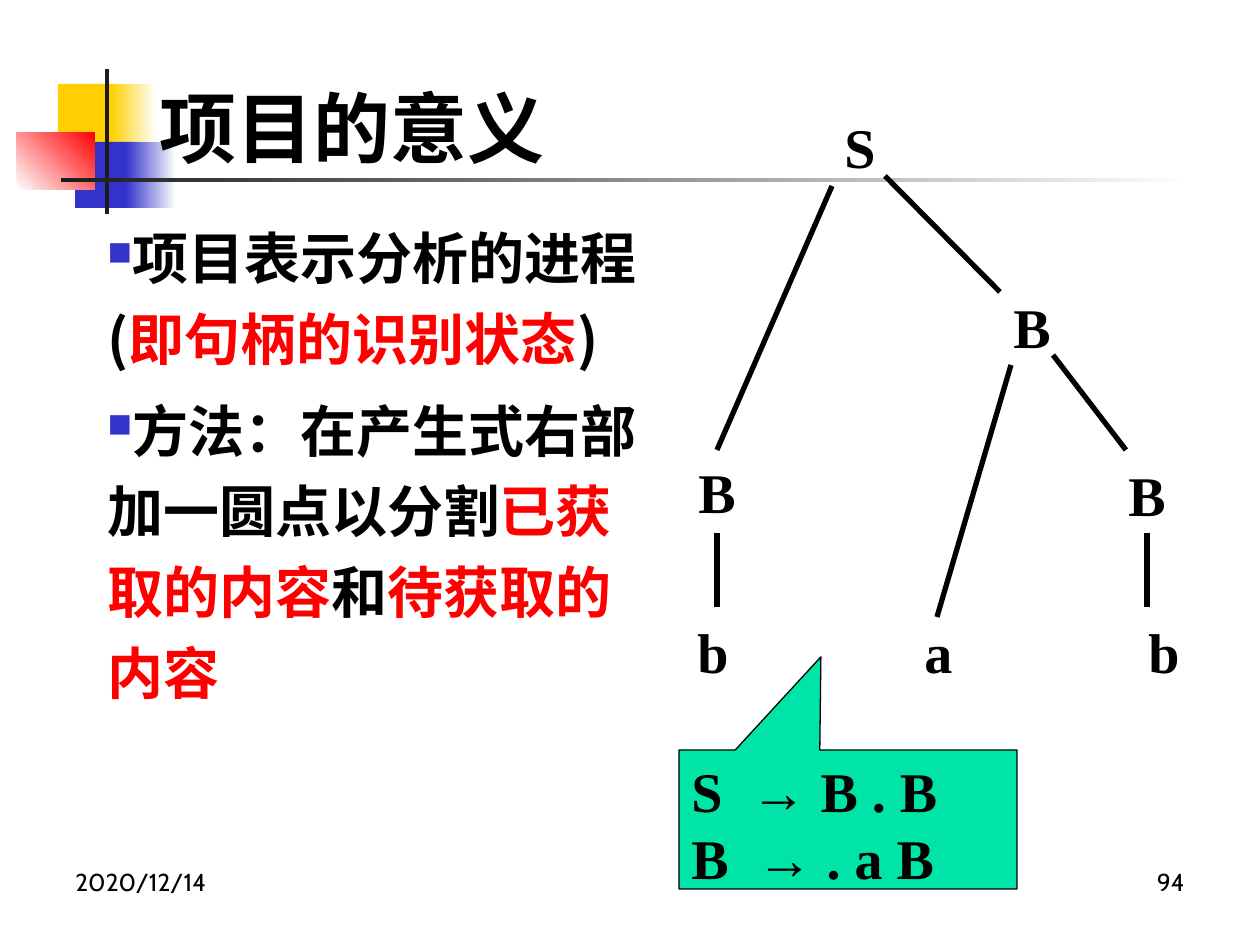
from collections import namedtuple
from dataclasses import dataclass

from lxml import etree
from pptx import Presentation
from pptx.dml.color import RGBColor
from pptx.enum.shapes import MSO_CONNECTOR, MSO_SHAPE
from pptx.enum.text import MSO_ANCHOR, PP_ALIGN
from pptx.oxml.ns import qn
from pptx.util import Pt

RECTANGLE = MSO_SHAPE.RECTANGLE
CALLOUT = MSO_SHAPE.RECTANGULAR_CALLOUT
STRAIGHT = MSO_CONNECTOR.STRAIGHT
TOP, MIDDLE = MSO_ANCHOR.TOP, MSO_ANCHOR.MIDDLE
LEFT, RIGHT = PP_ALIGN.LEFT, PP_ALIGN.RIGHT
EMU_PER_PX = 914400 / 126

Box = namedtuple("Box", "left top width height")


@dataclass(frozen=True)
class Theme:
    """Colours, fonts and type sizes of the slide."""
    black: str = "000000"
    white: str = "FFFFFF"
    charcoal: str = "1C1C1C"
    yellow: str = "FFCF01"
    blue: str = "3333CC"
    red: str = "FF0000"
    green: str = "00E4A8"
    serif: str = "Times New Roman"
    chinese: str = "Noto Sans CJK SC"
    footer: str = "Cabin"
    title_size: int = 44
    body_size: int = 32
    footer_size: int = 14


THEME = Theme()


def px(length):
    """Turn pixels into EMU."""
    return round(length * EMU_PER_PX)


def within(box, left, top, width, height):
    """Place a part relative to its region."""
    return Box(box.left + left, box.top + top, width, height)


def style_run(run, font, size, color=THEME.black, bold=True):
    """Format one run for Latin and Chinese text."""
    run.font.name = font
    run.font.size = Pt(size)
    run.font.bold = bold
    run.font.color.rgb = RGBColor.from_string(color)
    latin = run.font._element.find(qn("a:latin"))
    east_asian = etree.Element(qn("a:ea"), typeface=THEME.chinese)
    latin.addnext(east_asian)


def add_block(slide, box, fill, fade_to=None, angle=0):
    """Draw a borderless rectangle, plain or fading to a second colour."""
    shape = slide.shapes.add_shape(RECTANGLE, *map(px, box))
    shape.shadow.inherit = False
    shape.line.fill.background()
    if fade_to is None:
        shape.fill.solid()
        shape.fill.fore_color.rgb = RGBColor.from_string(fill)
        return
    shape.fill.gradient()
    shape.fill.gradient_angle = angle
    for stop, color in zip(shape.fill.gradient_stops, (fill, fade_to)):
        stop.color.rgb = RGBColor.from_string(color)


def add_text(slide, box, text, font, size, bold=True, align=LEFT, anchor=TOP, wrap=True):
    """Add a text box holding one formatted paragraph."""
    shape = slide.shapes.add_textbox(*map(px, box))
    frame = shape.text_frame
    frame.word_wrap = wrap
    frame.vertical_anchor = anchor
    frame.text = text
    paragraph = frame.paragraphs[0]
    paragraph.alignment = align
    style_run(paragraph.runs[0], font, size, bold=bold)
    return shape


def add_tab_stops(paragraph, positions):
    """Set left tab stops at the given pixel positions."""
    tab_list = etree.SubElement(paragraph._p.get_or_add_pPr(), qn("a:tabLst"))
    for position in positions:
        etree.SubElement(tab_list, qn("a:tab"), pos=str(px(position)), algn="l")


def add_bullet(paragraph):
    """Give a paragraph a small blue square bullet without an indent."""
    properties = paragraph._p.get_or_add_pPr()
    properties.set("marL", "0")
    properties.set("indent", "0")
    color = etree.SubElement(properties, qn("a:buClr"))
    etree.SubElement(color, qn("a:srgbClr"), val=THEME.blue)
    etree.SubElement(properties, qn("a:buSzPct"), val="60000")
    etree.SubElement(properties, qn("a:buChar"), char="■")


def build_ornament(slide, box):
    """Draw the coloured squares and the crossing rules."""
    add_block(slide, within(box, 41, 15, 60, 65), THEME.yellow)
    add_block(slide, within(box, 94, 15, 45, 65), THEME.yellow, THEME.white)
    add_block(slide, within(box, 58, 73, 58, 66), THEME.blue)
    add_block(slide, within(box, 109, 73, 50, 66), THEME.blue, THEME.white)
    add_block(slide, within(box, 0, 63, 78, 58), THEME.white, THEME.red, 45)
    add_block(slide, within(box, 88, 0, 4, 145), THEME.charcoal)
    add_block(slide, within(box, 44, 109, 1134, 4), THEME.charcoal, THEME.white)


def build_footer(slide, box):
    """Place the date at the left and the page number at the right."""
    width = 294
    for text, left, align in (("2020/12/14", 0, LEFT), ("94", box.width - width, RIGHT)):
        add_text(slide, within(box, left, 0, width, box.height), text,
                 THEME.footer, THEME.footer_size, bold=False, align=align)


def build_body(slide, box):
    """Write the bulleted statements with their red key phrases."""
    statements = (
        (("项目表示分析的进程(", THEME.black), ("即句柄的识别状态", THEME.red), (")", THEME.black)),
        (("方法：在产生式右部加一圆点以分割", THEME.black), ("已获取的内容", THEME.red),
         ("和", THEME.black), ("待获取的内容", THEME.red)),
    )
    frame = slide.shapes.add_textbox(*map(px, box)).text_frame
    frame.word_wrap = True
    for index, statement in enumerate(statements):
        paragraph = frame.add_paragraph() if index else frame.paragraphs[0]
        paragraph.line_spacing = 1.2
        if index:
            paragraph.space_before = Pt(6.4)
        add_bullet(paragraph)
        for text, color in statement:
            run = paragraph.add_run()
            run.text = text
            style_run(run, THEME.chinese, THEME.body_size, color)


def build_tree(slide, box):
    """Draw the parse tree: leaves, inner nodes and branches."""
    leaves = add_text(slide, within(box, 0, 505, 522, 79), "b\ta\tb",
                      THEME.serif, THEME.body_size)
    add_tab_stops(leaves.text_frame.paragraphs[0], (227, 451))
    nodes = (("B", 1, 345), ("B", 431, 348), ("B", 316, 180), ("S", 147, 0))
    for symbol, left, top in nodes:
        add_text(slide, within(box, left, top, 63, 79), symbol,
                 THEME.serif, THEME.body_size, wrap=False)
    branches = (
        (32, 427, 32, 501), (462, 427, 462, 501), (147, 80, 32, 344),
        (326, 259, 252, 511), (368, 249, 441, 344), (200, 70, 315, 186),
    )
    for start_x, start_y, end_x, end_y in branches:
        line = slide.shapes.add_connector(
            STRAIGHT, px(box.left + start_x), px(box.top + start_y),
            px(box.left + end_x), px(box.top + end_y))
        line.line.color.rgb = RGBColor.from_string(THEME.black)
        line.line.width = Pt(3)
        etree.SubElement(line._element.spPr, qn("a:effectLst"))


def build_callout(slide, box):
    """Draw the callout listing the current items."""
    shape = slide.shapes.add_shape(CALLOUT, *map(px, box))
    shape.shadow.inherit = False
    shape.adjustments[0] = -0.08
    shape.adjustments[1] = -1.17
    shape.fill.solid()
    shape.fill.fore_color.rgb = RGBColor.from_string(THEME.green)
    shape.line.color.rgb = RGBColor.from_string(THEME.black)
    shape.line.width = Pt(0.75)
    frame = shape.text_frame
    frame.word_wrap = True
    frame.vertical_anchor = TOP
    frame.text = "S  → B . B\nB  → . a B"
    for paragraph in frame.paragraphs:
        paragraph.alignment = LEFT
        style_run(paragraph.runs[0], THEME.serif, THEME.body_size)


def main():
    """Build the slide and save it."""
    presentation = Presentation()
    presentation.slide_width, presentation.slide_height = px(1260), px(945)
    slide = presentation.slides.add_slide(presentation.slide_layouts[6])
    build_ornament(slide, Box(17, 69, 1178, 145))
    build_footer(slide, Box(63, 861, 1134, 65))
    add_text(slide, Box(147, 48, 431, 158), "项目的意义",
             THEME.serif, THEME.title_size, anchor=MIDDLE)
    build_body(slide, Box(95, 204, 561, 624))
    build_tree(slide, Box(685, 106, 522, 584))
    build_callout(slide, Box(679, 750, 338, 139))
    presentation.save("out.pptx")


if __name__ == "__main__":
    main()
